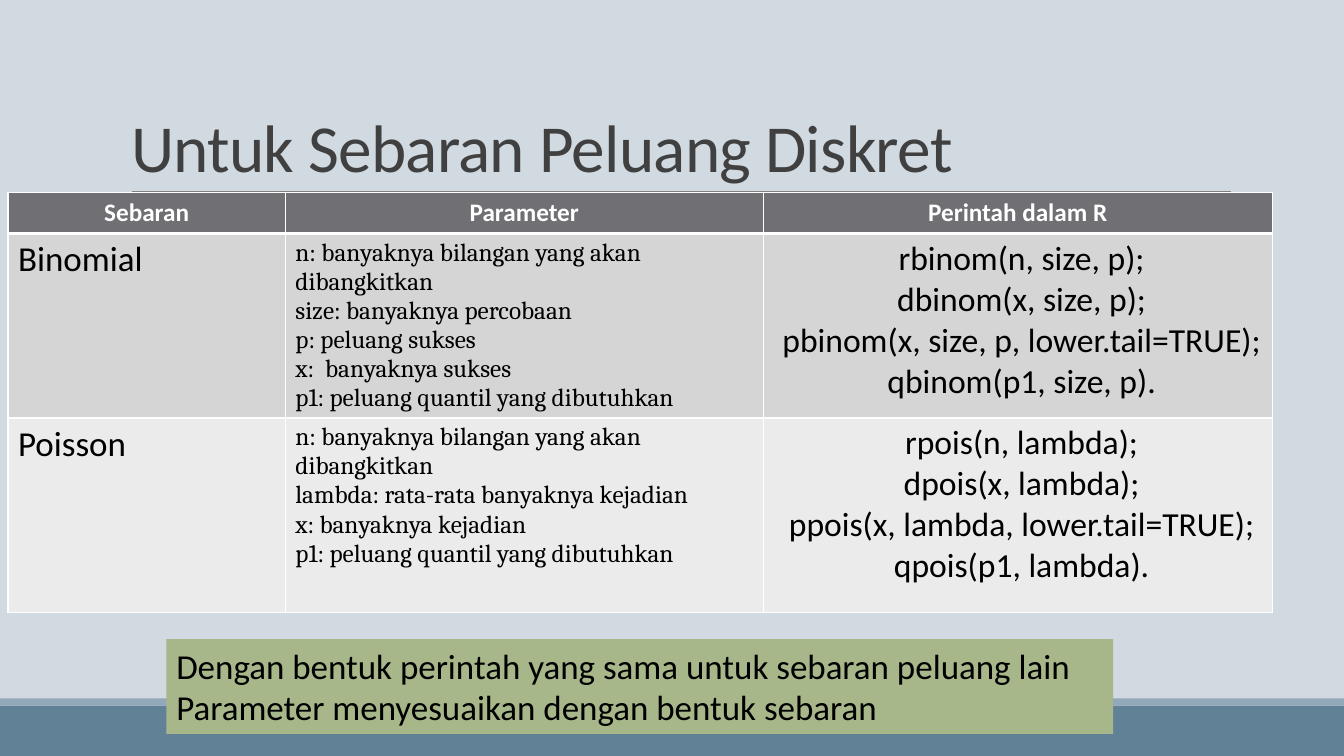
from lxml import etree
from pptx import Presentation
from pptx.dml.color import RGBColor
from pptx.enum import shapes, text
from pptx.oxml.ns import qn
from pptx.util import Inches, Pt

TITLE = "Untuk Sebaran Peluang Diskret"
HEADER = ["Sebaran", "Parameter", "Perintah dalam R"]
DISTRIBUTIONS = [
    ("Binomial",
     ["n: banyaknya bilangan yang akan dibangkitkan",
      "size: banyaknya percobaan",
      "p: peluang sukses",
      "x:  banyaknya sukses",
      "p1: peluang quantil yang dibutuhkan"],
     [" rbinom(n, size, p);",
      " dbinom(x, size, p);",
      " pbinom(x, size, p, lower.tail=TRUE);",
      " qbinom(p1, size, p)."]),
    ("Poisson",
     ["n: banyaknya bilangan yang akan dibangkitkan",
      "lambda: rata-rata banyaknya kejadian",
      "x: banyaknya kejadian",
      "p1: peluang quantil yang dibutuhkan"],
     [" rpois(n, lambda);",
      " dpois(x, lambda);",
      " ppois(x, lambda, lower.tail=TRUE);",
      " qpois(p1, lambda)."]),
]
NOTE = ["Dengan bentuk perintah yang sama untuk sebaran peluang lain",
        "Parameter menyesuaikan dengan bentuk sebaran"]

COL_WIDTHS = [2.75, 4.74, 5.05]
ROW_HEIGHTS = [0.37, 1.74, 1.93]
ROW_FILLS = ["6F6F74", "D5D5D6", "EBEBEB"]
LEFT, CENTER = text.PP_ALIGN.LEFT, text.PP_ALIGN.CENTER
# Size, font and alignment of each body column
COL_STYLES = [(25, "Calibri", LEFT), (18, "Cambria", LEFT), (24, "Calibri", CENTER)]


def color(hex_string):
    return RGBColor.from_string(hex_string)


def paint(target, hex_string):
    target.fill.solid()
    target.fill.fore_color.rgb = color(hex_string)


def write(tf, lines, size, font="Calibri", align=LEFT, ink="000000", bold=False):
    tf.text = "\n".join(lines)
    for p in tf.paragraphs:
        p.alignment = align
        p.font.size, p.font.name, p.font.bold = Pt(size), font, bold
        p.font.color.rgb = color(ink)


def add_rect(box, fill):
    sp = s.shapes.add_shape(shapes.MSO_SHAPE.RECTANGLE, *map(Inches, box))
    sp.shadow.inherit = False
    sp.line.fill.background()
    paint(sp, fill)
    return sp


def add_border(cell, side, width):
    ln = etree.SubElement(cell._tc.get_or_add_tcPr(), qn("a:ln" + side), w=str(Pt(width)))
    fill = etree.SubElement(ln, qn("a:solidFill"))
    etree.SubElement(fill, qn("a:srgbClr"), val="FFFFFF")


prs = Presentation()
prs.slide_width, prs.slide_height = Inches(13.33), Inches(7.5)
s = prs.slides.add_slide(prs.slide_layouts[5])
paint(s.background, "D1D9E1")

# Footer bands and title rule
add_rect((0, 7, 13.33, 0.5), "618197")
add_rect((0, 6.93, 13.33, 0.07), "92A9B9")
rule = s.shapes.add_connector(shapes.MSO_CONNECTOR.STRAIGHT,
                              *map(Inches, (1.31, 1.9, 12.21, 1.9)))
rule.line.color.rgb = color("808080")
rule.line.width = Pt(0.5)
etree.SubElement(rule._element.spPr, qn("a:effectLst"))

# Title
title = s.shapes.title
title.left, title.top, title.width, title.height = map(Inches, (1.2, 0.31, 11, 1.59))
tf = title.text_frame
write(tf, [TITLE], 48, ink="404040")
tf.word_wrap = True
tf.auto_size = text.MSO_AUTO_SIZE.NONE
tf.vertical_anchor = text.MSO_ANCHOR.BOTTOM
tf.paragraphs[0].line_spacing = 0.85
tf.paragraphs[0].runs[0].font._element.set("spc", "-50")

# Table of distributions
table = s.shapes.add_table(len(ROW_HEIGHTS), len(COL_WIDTHS), Inches(0.08), Inches(1.91),
                           Inches(sum(COL_WIDTHS)), Inches(sum(ROW_HEIGHTS))).table
for column, width in zip(table.columns, COL_WIDTHS):
    column.width = Inches(width)
for row, height in zip(table.rows, ROW_HEIGHTS):
    row.height = Inches(height)

for c, heading in enumerate(HEADER):
    write(table.cell(0, c).text_frame, [heading], 18, align=CENTER, ink="FFFFFF", bold=True)
for r, (name, parameters, commands) in enumerate(DISTRIBUTIONS, start=1):
    for c, lines in enumerate(([name], parameters, commands)):
        write(table.cell(r, c).text_frame, lines, *COL_STYLES[c])

for r, fill in enumerate(ROW_FILLS):
    for cell in table.rows[r].cells:
        add_border(cell, "L", 1)
        add_border(cell, "R", 1)
        if r == 0:
            add_border(cell, "T", 1)
        add_border(cell, "B", 3 if r == 0 else 1)
        paint(cell, fill)

# Closing note
note = add_rect((1.65, 6.34, 9.39, 0.94), "A7B789")
write(note.text_frame, NOTE, 25)
note.text_frame.word_wrap = True
note.text_frame.vertical_anchor = text.MSO_ANCHOR.TOP
note.text_frame.auto_size = text.MSO_AUTO_SIZE.SHAPE_TO_FIT_TEXT

prs.save("out.pptx")
